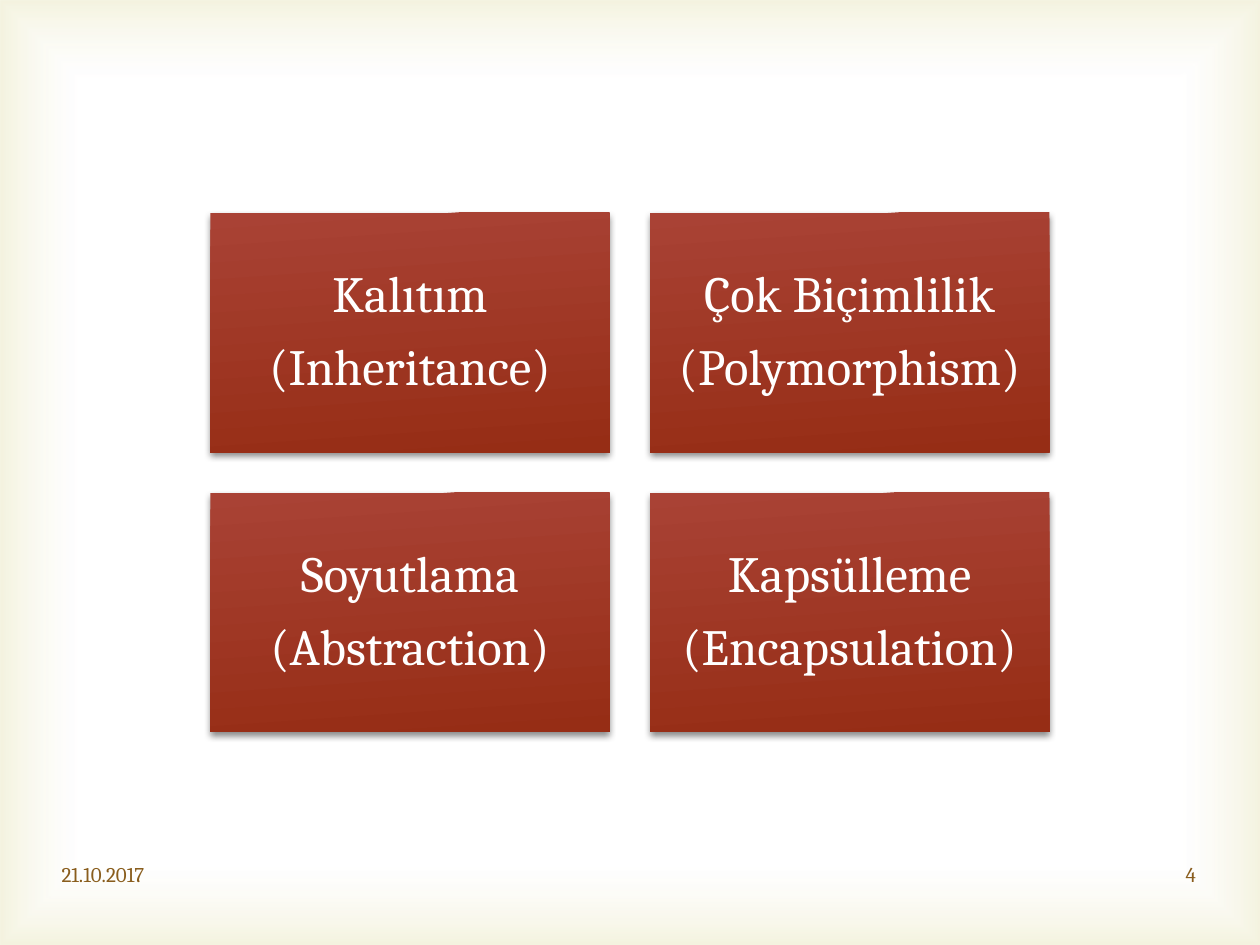
from itertools import product

from pptx import Presentation
from pptx.dml.color import RGBColor
from pptx.enum.shapes import MSO_SHAPE
from pptx.enum.text import MSO_ANCHOR as ANCHOR, PP_ALIGN as ALIGN
from pptx.oxml import parse_xml
from pptx.oxml.ns import nsdecls
from pptx.util import Inches, Pt

WHITE = RGBColor(0xFF, 0xFF, 0xFF)
SAND = RGBColor(0xD1, 0xCA, 0x75)
RED = RGBColor(0xA9, 0x42, 0x35)
DARK_RED = RGBColor(0x96, 0x2D, 0x15)
BROWN = RGBColor(0x89, 0x5D, 0x1D)

LINEAR = '<a:lin ang="5160000" scaled="0"/>'
FRAME = ('<a:path path="rect"><a:fillToRect l="50000" t="50000" '
         'r="50000" b="50000"/></a:path>')
SHADOW = ('<a:outerShdw %s blurRad="50800" dist="25400" dir="5400000" rotWithShape="0">'
          '<a:srgbClr val="000000"><a:alpha val="46000"/></a:srgbClr></a:outerShdw>')
SPACE_AFTER = '<a:spcAft %s><a:spcPct val="35000"/></a:spcAft>'


class SlideBuilder:
    """Draws styled elements on the current slide."""

    tile_font = {"name": "Cambria", "size": Pt(29)}
    footer_font = {"name": "Cambria", "size": Pt(12)}

    def __init__(self, s):
        self.s = s

    def gradient_rect(self, x, y, w, h, stops, direction):
        sp = self.s.shapes.add_shape(
            MSO_SHAPE.RECTANGLE, Inches(x), Inches(y), Inches(w), Inches(h))
        sp.line.fill.background()
        sp.shadow.inherit = False
        gs = "".join(
            f'<a:gs pos="{pos * 1000}"><a:srgbClr val="{color}">'
            f'<a:alpha val="{alpha * 1000}"/></a:srgbClr></a:gs>'
            for pos, color, alpha in stops)
        sp._element.spPr.insert(2, parse_xml(
            f'<a:gradFill {nsdecls("a")} rotWithShape="1">'
            f'<a:gsLst>{gs}</a:gsLst>{direction}</a:gradFill>'))
        return sp

    def add_text(self, p, text, font, color, align):
        p.alignment = align
        r = p.add_run()
        r.text = text
        for key, value in font.items():
            setattr(r.font, key, value)
        r.font.color.rgb = color

    def tile(self, x, y, w, h, lines):
        sp = self.gradient_rect(x, y, w, h, [(0, RED, 100), (100, DARK_RED, 100)], LINEAR)
        sp._element.spPr[-1].append(parse_xml(SHADOW % nsdecls("a")))
        tf = sp.text_frame
        tf.word_wrap = True
        tf.vertical_anchor = ANCHOR.MIDDLE
        for side in ("left", "top", "right", "bottom"):
            setattr(tf, f"margin_{side}", Inches(0.12))
        for i, text in enumerate(lines):
            p = tf.add_paragraph() if i else tf.paragraphs[0]
            p.line_spacing = 0.9
            p._p.get_or_add_pPr().append(parse_xml(SPACE_AFTER % nsdecls("a")))
            self.add_text(p, text, self.tile_font, WHITE, ALIGN.CENTER)

    def footer(self, x, text, align):
        tf = self.s.shapes.add_textbox(
            Inches(x), Inches(6.74), Inches(2.33), Inches(0.4)).text_frame
        tf.word_wrap = True
        tf.vertical_anchor = ANCHOR.MIDDLE
        self.add_text(tf.paragraphs[0], text, self.footer_font, BROWN, align)


def main():
    prs = Presentation()
    prs.slide_width, prs.slide_height = Inches(10), Inches(7.5)
    s = prs.slides.add_slide(prs.slide_layouts[6])
    s.background.fill.solid()
    s.background.fill.fore_color.rgb = WHITE

    builder = SlideBuilder(s)
    builder.gradient_rect(0, 0, 10, 7.5, [(83, WHITE, 11), (100, SAND, 23)], FRAME)

    principles = [
        ("Kalıtım", "(Inheritance)"),
        ("Çok Biçimlilik", "(Polymorphism)"),
        ("Soyutlama", "(Abstraction)"),
        ("Kapsülleme", "(Encapsulation)"),
    ]
    w, h, gap = 3.17, 1.9, 0.32
    for (row, col), lines in zip(product(range(2), repeat=2), principles):
        builder.tile(1.67 + col * (w + gap), 1.69 + row * (h + gap), w, h, lines)

    builder.footer(0.39, "21.10.2017", ALIGN.LEFT)
    builder.footer(7.26, "4", ALIGN.RIGHT)
    prs.save("out.pptx")


if __name__ == "__main__":
    main()
